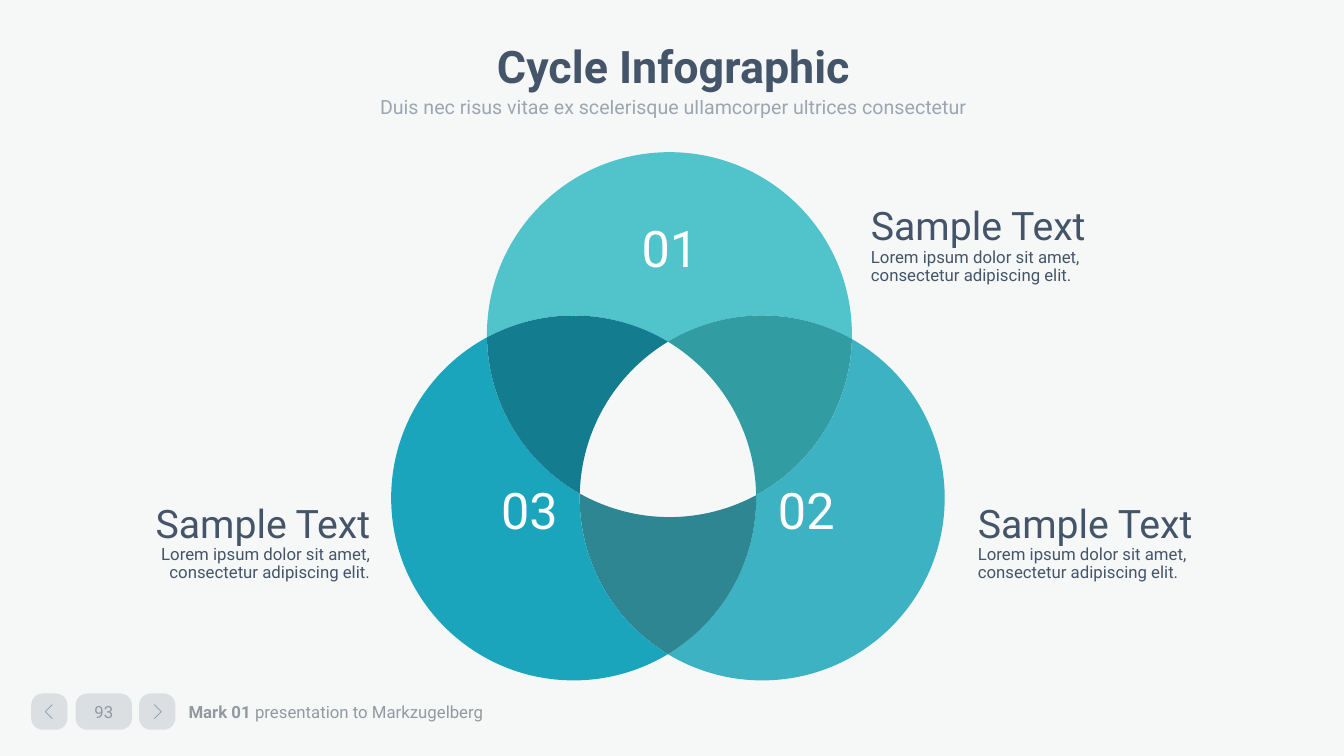
import math
from itertools import pairwise

from lxml import etree
from pptx import Presentation
from pptx.dml.color import RGBColor
from pptx.enum import shapes, text
from pptx.oxml.ns import qn
from pptx.util import Inches, Pt

FONT = "Roboto"
COLORS = {
    "background": "F6F8F8", "slate": "445469", "footer": "9499A1", "white": "FFFFFF",
    "top": "51C3CA", "right": "3CB2C3", "left": "1AA5BD",
    "top-right": "329CA3", "right-left": "2D8692", "left-top": "137C8E",
}
RADIUS = 1.81
CENTERS = {"top": (6.64, 3.32), "right": (7.56, 4.94), "left": (5.69, 4.94)}
MIDDLE = (6.63, 4.4)


def paint(color_format, name):
    color_format.rgb = RGBColor.from_string(COLORS[name])


def set_alpha(element, percent):
    """Make the solid colour inside a fill, line or text element translucent."""
    color = next(element.iter(qn("a:srgbClr")))
    etree.SubElement(color, qn("a:alpha")).set("val", str(percent * 1000))


def style_font(font, size, color, bold=False):
    font.name, font.size, font.bold = FONT, Pt(size), bold
    paint(font.color, color)


def write(para, words, size, color, align=text.PP_ALIGN.LEFT, bold=False, spacing=None):
    para.text = words
    para.alignment = align
    para.line_spacing = spacing
    style_font(para.font, size, color, bold)


def add_text_box(page, left, top, width, height):
    box = page.shapes.add_textbox(Inches(left), Inches(top), Inches(width), Inches(height))
    box.text_frame.word_wrap = True
    return box.text_frame


def add_outline(page, points, closed=True):
    emu = [(Inches(x), Inches(y)) for x, y in points]
    builder = page.shapes.build_freeform(*emu[0])
    builder.add_line_segments(emu[1:], close=closed)
    outline = builder.convert_to_shape()
    outline.shadow.inherit = False
    return outline


def crossings(first, second):
    """Return the outer and the inner crossing point of two circles."""
    (ax, ay), (bx, by) = CENTERS[first], CENTERS[second]
    gap = math.dist((ax, ay), (bx, by))
    reach = math.sqrt(RADIUS ** 2 - gap ** 2 / 4) / gap
    mx, my = (ax + bx) / 2, (ay + by) / 2
    points = [(mx + sign * reach * (by - ay), my - sign * reach * (bx - ax)) for sign in (1, -1)]
    return sorted(points, key=lambda point: -math.dist(point, MIDDLE))


def arc(circle, start, end, clockwise):
    """Return Bezier points (two controls and an end per piece), cut at quarter turns."""
    cx, cy = CENTERS[circle]
    begin, finish = (math.atan2(y - cy, x - cx) for x, y in (start, end))
    sweep = (finish - begin) % math.tau - (0 if clockwise else math.tau)
    low, high = sorted((begin, begin + sweep))
    quarters = [turn * math.pi / 2 for turn in range(-8, 9)]
    stops = [low, *(a for a in quarters if low + 0.05 < a < high - 0.05), high]
    points = []
    for a, b in pairwise(stops if clockwise else stops[::-1]):
        pull = 4 / 3 * math.tan((b - a) / 4)
        for angle, handle in ((a, pull), (b, -pull), (b, 0)):
            cos, sin = math.cos(angle), math.sin(angle)
            points.append((cx + RADIUS * (cos - handle * sin), cy + RADIUS * (sin + handle * cos)))
    return points


def add_region(page, start, curves, color):
    region = add_outline(page, [start, *curves])
    lines = list(region._element.iter(qn("a:lnTo")))
    for first in range(0, len(lines), 3):
        curve = etree.Element(qn("a:cubicBezTo"))
        lines[first].addprevious(curve)
        for line in lines[first:first + 3]:
            curve.append(line[0])
            line.getparent().remove(line)
    region.fill.solid()
    paint(region.fill.fore_color, color)
    region.line.fill.background()
    return region


def add_cycle(page):
    names = list(CENTERS)
    for index, name in enumerate(names):
        after, before = names[(index + 1) % 3], names[index - 1]
        outer_before, inner_before = crossings(before, name)
        outer_after = crossings(name, after)[0]
        inner_far = crossings(after, before)[1]

        crescent = (arc(name, outer_before, outer_after, True)
                    + arc(after, outer_after, inner_far, False)
                    + arc(before, inner_far, outer_before, False))
        frame = add_region(page, outer_before, crescent, name).text_frame
        frame.vertical_anchor = text.MSO_ANCHOR.MIDDLE
        write(frame.paragraphs[0], f"{index + 1:02}", 36, "white", text.PP_ALIGN.CENTER)

        overlap = (arc(name, outer_after, inner_before, True)
                   + arc(before, inner_before, inner_far, False)
                   + arc(after, inner_far, outer_after, True))
        add_region(page, outer_after, overlap, f"{name}-{after}")


def add_caption(page, left, top, align):
    frame = add_text_box(page, left, top, 2.73, 0.94)
    write(frame.paragraphs[0], "Sample Text", 28, "slate", align)
    write(frame.add_paragraph(), "Lorem ipsum dolor sit amet, consectetur adipiscing elit.",
          12, "slate", align, spacing=0.9)


def add_button(page, left, width, label=""):
    button = page.shapes.add_shape(shapes.MSO_SHAPE.ROUNDED_RECTANGLE, Inches(left),
                                   Inches(6.88), Inches(width), Inches(0.36))
    button.adjustments[0] = 0.32
    button.shadow.inherit = False
    button.fill.solid()
    paint(button.fill.fore_color, "slate")
    set_alpha(button._element.spPr, 15)
    button.line.fill.background()
    if label:
        frame = button.text_frame
        frame.margin_left = frame.margin_right = 0
        para = frame.paragraphs[0]
        write(para, label, 12, "slate", text.PP_ALIGN.CENTER)
        set_alpha(para._p, 50)


def add_chevron(page, tip, back):
    chevron = add_outline(page, [(back, 6.99), (tip, 7.06), (back, 7.13)], closed=False)
    chevron.fill.background()
    chevron.line.width = Pt(0.5)
    paint(chevron.line.color, "slate")
    set_alpha(chevron._element.spPr, 50)


def add_footer(page):
    frame = add_text_box(page, 1.74, 6.89, 3.67, 0.34)
    frame.vertical_anchor = text.MSO_ANCHOR.MIDDLE
    frame.margin_left = frame.margin_right = Inches(0.13)
    para = frame.paragraphs[0]
    for words, bold in (("Mark 01 ", True), ("presentation to Markzugelberg", False)):
        span = para.add_run()
        span.text = words
        style_font(span.font, 12, "footer", bold)
    add_button(page, 0.75, 0.56, "93")
    for left, tip, back in ((0.31, 0.45, 0.52), (1.38, 1.6, 1.53)):
        add_button(page, left, 0.36)
        add_chevron(page, tip, back)


def add_heading(page):
    title = add_text_box(page, 0.93, 0.4, 11.5, 0.56).paragraphs[0]
    write(title, "Cycle Infographic", 32, "slate", text.PP_ALIGN.CENTER, bold=True, spacing=0.9)
    subtitle = add_text_box(page, 1.96, 0.85, 9.44, 0.42).paragraphs[0]
    write(subtitle, "Duis nec risus vitae ex scelerisque ullamcorper ultrices consectetur",
          14, "slate", text.PP_ALIGN.CENTER, spacing=1.2)
    set_alpha(subtitle._p, 50)


def main():
    deck = Presentation()
    deck.slide_width, deck.slide_height = Inches(13.33), Inches(7.5)
    page = deck.slides.add_slide(deck.slide_layouts[6])
    page.background.fill.solid()
    paint(page.background.fill.fore_color, "background")
    add_footer(page)
    add_cycle(page)
    add_caption(page, 8.54, 1.95, text.PP_ALIGN.LEFT)
    add_caption(page, 9.6, 4.9, text.PP_ALIGN.LEFT)
    add_caption(page, 1.04, 4.9, text.PP_ALIGN.RIGHT)
    add_heading(page)
    deck.save("out.pptx")


if __name__ == "__main__":
    main()
